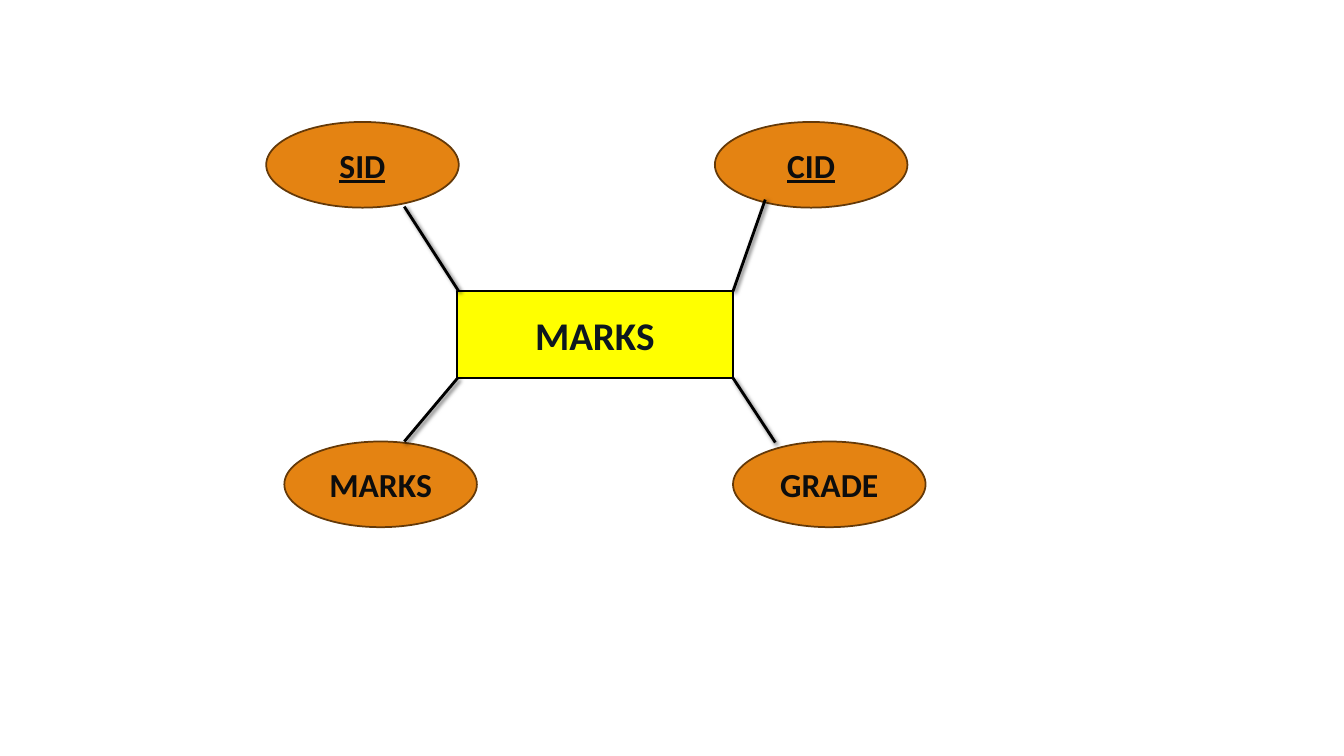
from pptx import Presentation
from pptx.dml.color import RGBColor as RGB
from pptx.enum.shapes import MSO_CONNECTOR as LINK, MSO_SHAPE as SHAPE
from pptx.enum.text import MSO_ANCHOR as ANCHOR, PP_ALIGN as ALIGN
from pptx.oxml import parse_xml
from pptx.oxml.ns import nsdecls
from pptx.util import Inches, Pt

COLORS = {
    "entity": "FFFF00",
    "field": "E48312",
    "edge": "643908",
    "line": "000000",
    "title": "0D171F",
    "label": "0D0D0D",
}


def color(name):
    return RGB.from_string(COLORS[name])


def add_node(slide, kind, box, text, fill, edge, ink, size, key=False):
    node = slide.shapes.add_shape(kind, *map(Inches, box))
    node.shadow.inherit = False
    node.fill.solid()
    node.fill.fore_color.rgb = color(fill)
    node.line.color.rgb = color(edge)
    node.line.width = Pt(1.25)
    frame = node.text_frame
    frame.word_wrap = True
    frame.vertical_anchor = ANCHOR.MIDDLE
    frame.text = text
    para = frame.paragraphs[0]
    para.alignment = ALIGN.CENTER
    font = para.runs[0].font
    font.name = "Calibri"
    font.size = Pt(size)
    font.bold = True
    font.underline = True if key else None
    font.color.rgb = color(ink)


def add_link(slide, start, end):
    link = slide.shapes.add_connector(LINK.STRAIGHT, *map(Inches, start + end))
    link.line.color.rgb = color("line")
    link.line.width = Pt(2)
    link._element.spPr.append(parse_xml(
        f'<a:effectLst {nsdecls("a")}>'
        f'<a:outerShdw blurRad="{Pt(3)}" dist="{Pt(2)}" dir="2700000" rotWithShape="0">'
        f'<a:srgbClr val="{COLORS["line"]}"><a:alpha val="60000"/></a:srgbClr>'
        '</a:outerShdw></a:effectLst>'))


def add_diagram(slide, box):
    left, top, width, height = box
    wide, high = 1.91, 0.85
    shift = 0.18
    right = left + width - wide
    low = top + height - high
    west, north = left + 1.89, top + 1.68
    east, south = west + 2.74, north + 0.86
    add_node(slide, SHAPE.RECTANGLE, (west, north, east - west, south - north),
             "MARKS", "entity", "line", "title", 28)
    fields = [
        ("SID", left, top, True),
        ("CID", right - shift, top, True),
        ("GRADE", right, low, False),
        ("MARKS", left + shift, low, False),
    ]
    for text, x, y, key in fields:
        add_node(slide, SHAPE.OVAL, (x, y, wide, high),
                 text, "field", "edge", "label", 24, key)
    inner = left + 1.37
    links = [
        ((east, north), (east + 0.32, top + 0.77)),
        ((inner, top + 0.84), (west + 0.02, north)),
        ((west + 0.01, south), (inner, low)),
        ((east, south), (east + 0.42, low + 0.01)),
    ]
    for start, end in links:
        add_link(slide, start, end)


def main():
    deck = Presentation()
    deck.slide_width, deck.slide_height = Inches(13.33), Inches(7.5)
    slide = deck.slides.add_slide(deck.slide_layouts[6])
    add_diagram(slide, (2.64, 1.21, 6.54, 4.02))
    deck.save("out.pptx")


if __name__ == "__main__":
    main()
